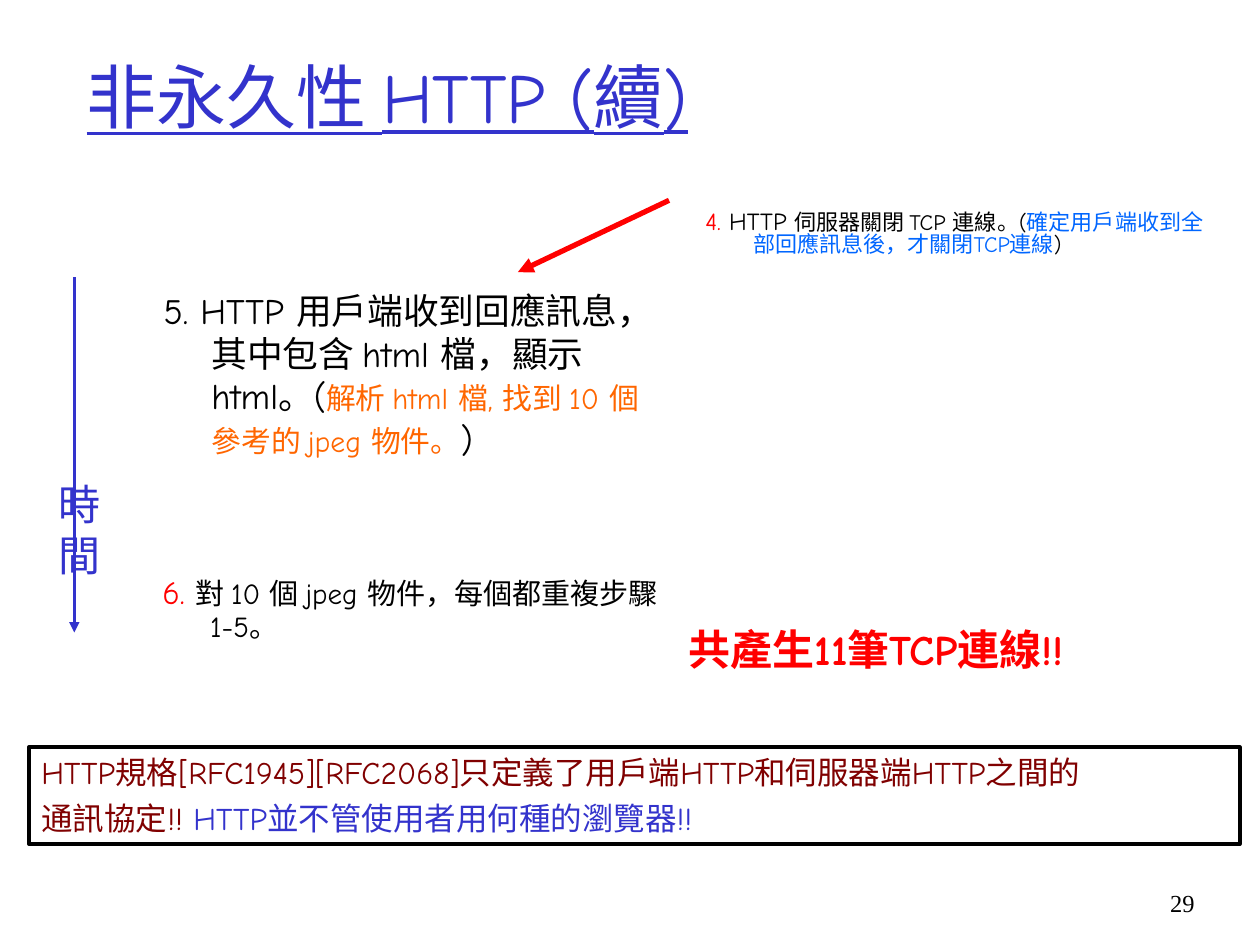
from lxml import etree
from pptx import Presentation
from pptx.dml.color import RGBColor
from pptx.enum.shapes import MSO_CONNECTOR as Connector, MSO_SHAPE as Shape
from pptx.enum.text import MSO_ANCHOR as Anchor, PP_ALIGN as Align
from pptx.oxml.ns import qn
from pptx.util import Inches, Pt

WIDTH, HEIGHT = Inches(10), Inches(7.5)
COLUMNS, ROWS = 100, 75
FONT = "Comic Neue"
BLACK, BLUE, RED = "000000", "3333CC", "FF0000"
MAROON, ORANGE, SKY = "800000", "FF6600", "0066FF"
HANGING = Inches(0.38)


def color(value):
    return RGBColor.from_string(value)


def cell(column, row):
    return round(column * WIDTH / COLUMNS), round(row * HEIGHT / ROWS)


def set_all(target, values):
    for name, value in values.items():
        setattr(target, name, value)


def hang(para):
    properties = para._p.get_or_add_pPr()
    properties.set("marL", str(HANGING))
    properties.set("indent", str(-HANGING))


def write(frame, paragraphs, hanging=False, wrap=True, anchor=Anchor.TOP, font=FONT, **layout):
    set_all(frame, {"word_wrap": wrap, "vertical_anchor": anchor})
    for index, spans in enumerate(paragraphs):
        para = frame.add_paragraph() if index else frame.paragraphs[0]
        set_all(para, {"alignment": Align.LEFT, **layout})
        if index:
            para.space_before = Pt(4.5)
        if hanging:
            hang(para)
        for text, size, tint, *extra in spans:
            span = para.add_run()
            span.text = text
            style = {"name": font, "size": Pt(size)}
            set_all(span.font, {**style, **(extra[0] if extra else {})})
            span.font.color.rgb = color(tint)


def add_text(page, place, size, paragraphs, **layout):
    box = page.shapes.add_textbox(*cell(*place), *cell(*size))
    write(box.text_frame, paragraphs, **layout)


def add_framed_text(page, place, size, paragraphs, **layout):
    box = page.shapes.add_shape(Shape.RECTANGLE, *cell(*place), *cell(*size))
    box.shadow.inherit = False
    box.fill.background()
    box.line.color.rgb = color(BLACK)
    box.line.width = Pt(2)
    write(box.text_frame, paragraphs, **layout)


def add_arrow(page, start, end, tint, width):
    arrow = page.shapes.add_connector(Connector.STRAIGHT, *cell(*start), *cell(*end))
    arrow.line.color.rgb = color(tint)
    arrow.line.width = Pt(width)
    etree.SubElement(arrow.line._get_or_add_ln(), qn("a:tailEnd"), type="triangle")
    etree.SubElement(arrow._element.spPr, qn("a:effectLst"))


def add_steps(page):
    add_text(page, (12, 22.4), (41.7, 16.8), [[
        ("5. HTTP 用戶端收到回應訊息，其中包含 html 檔，顯示html。(", 20.4, BLACK),
        ("解析 html 檔, 找到 10 個參考的 jpeg 物件。", 17, ORANGE),
        (")", 20.4, BLACK),
    ]], hanging=True)
    add_text(page, (11.9, 45.3), (41.7, 7.3), [[
        ("6. ", 18.5, RED),
        ("對 10 個 jpeg 物件，每個都重複步驟 1-5。", 16.6, BLACK),
    ]], hanging=True, line_spacing=0.9)
    add_text(page, (55, 16.3), (41.7, 8), [[
        ("4.", 14, RED),
        (" HTTP", 14, BLACK),
        (" 伺服器關閉 TCP 連線。(", 12.6, BLACK),
        ("確定用戶端收到全部回應訊息後，才關閉TCP連線", 12.6, SKY),
        (")", 12.6, BLACK),
    ]], hanging=True, line_spacing=0.8)


def add_summary(page):
    add_framed_text(page, (2.3, 59.3), (96.1, 7.7), [
        [("HTTP規格[RFC1945][RFC2068]只定義了用戶端HTTP和伺服器端HTTP之間的", 18, MAROON)],
        [("通訊協定!! ", 18, MAROON), ("HTTP並不管使用者用何種的瀏覽器!!", 18, BLUE)],
    ], hanging=True)
    add_text(page, (53.7, 49), (43.4, 5),
             [[("共產生11筆TCP連線!!", 24, RED, {"bold": True})]], hanging=True)


def main():
    deck = Presentation()
    set_all(deck, {"slide_width": WIDTH, "slide_height": HEIGHT})
    page = deck.slides.add_slide(deck.slide_layouts[6])
    add_text(page, (5.9, 2.8), (85, 9.5),
             [[("非永久性 HTTP (續)", 40, BLUE, {"underline": True})]], anchor=Anchor.MIDDLE)
    add_steps(page)
    add_arrow(page, (5.9, 22), (5.9, 50.2), BLUE, 1.5)
    add_text(page, (2, 37.5), (8.6, 5), [[("時間", 24, BLUE)]],
             wrap=False, alignment=Align.CENTER)
    add_arrow(page, (53.1, 15.9), (41.1, 21.6), RED, 3)
    add_summary(page)
    add_text(page, (90.8, 70), (5, 5), [[("29", 14, BLACK)]],
             font="Times New Roman", alignment=Align.RIGHT)
    deck.save("out.pptx")


if __name__ == "__main__":
    main()
